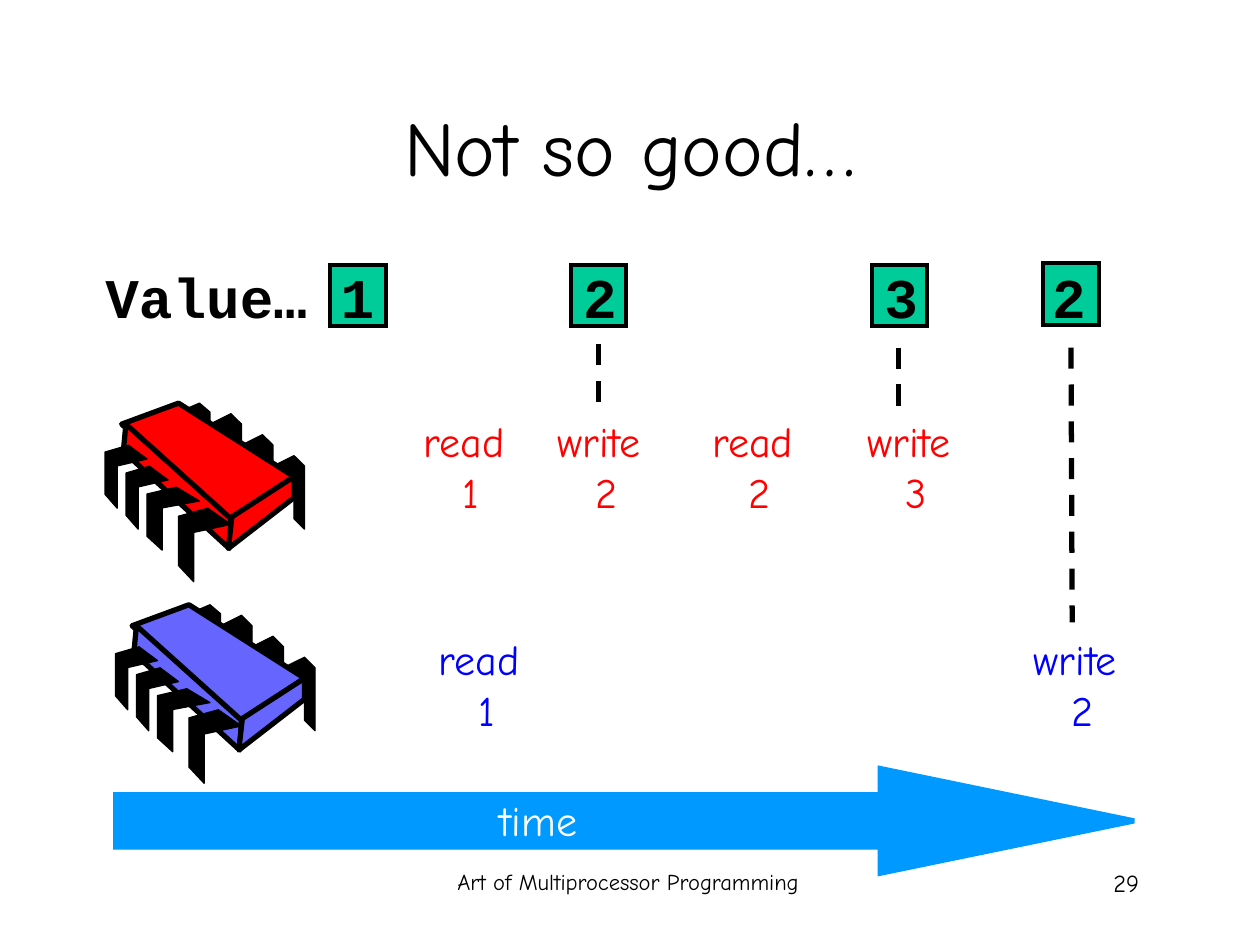
import pptx
import pptx.dml.color
import pptx.enum.dml
import pptx.enum.shapes
import pptx.enum.text
import pptx.oxml.ns
import pptx.util
from dataclasses import dataclass
from lxml import etree

Pt = pptx.util.Pt
Align = pptx.enum.text.PP_ALIGN
Anchor = pptx.enum.text.MSO_ANCHOR
Fit = pptx.enum.text.MSO_AUTO_SIZE
Kind = pptx.enum.shapes.MSO_SHAPE
qn = pptx.oxml.ns.qn


@dataclass(frozen=True)
class Theme:
    ink: str = "000000"
    paper: str = "FFFFFF"
    cell: str = "00CC99"
    time: str = "0099FF"
    red: str = "FF0000"
    blue: str = "0000FF"
    chip: str = "6666FF"
    hand: str = "Comic Neue"
    code: str = "Courier New"
    title: float = 44
    value: float = 32
    label: float = 24
    page: float = 14
    foot: float = 12.9


THEME = Theme()

# Outlines as shares of the leg's own box
BACK = [(0, 1/7), (2/3, 0), (1, 1/7), (1, 1), (2/3, 6/7), (2/3, 2/7), (0, 3/7)]
FRONT = [(.56, 0), (1, .22), (.29, .33), (.29, 1), (0, .78), (0, .11)]

# Leg boxes and face corners, in points from the chip's corner
REAR = [(96, 30, 18, 42), (78, 18, 18, 42), (60, 6, 18, 42), (42, 0, 18, 36)]
FORE = [(42, 60, 30, 42), (24, 48, 30, 36), (12, 36, 24, 36), (0, 24, 24, 36)]
FACES = [
    [(42, 0), (108, 42), (71, 67), (9.5, 12)],
    [(12, 12), (72, 66), (71, 83), (10.5, 27.5)],
    [(108, 42), (108, 54), (70.5, 83), (72.5, 65)],
]


def rgb(code):
    return pptx.dml.color.RGBColor.from_string(code)


def assign(obj, **values):
    for name, value in values.items():
        setattr(obj, name, value)


def paint(shape, fill, line, width, join="a:miter"):
    shape.shadow.inherit = False
    shape.fill.solid()
    shape.fill.fore_color.rgb = rgb(fill)
    shape.line.color.rgb = rgb(line)
    shape.line.width = Pt(width)
    etree.SubElement(shape.element.spPr.find(qn("a:ln")), qn(join))


def write(slide, box, lines, size, color=THEME.ink, align=Align.CENTER,
          face=THEME.hand, bold=False, wrap=False, anchor=Anchor.TOP):
    frame = slide.shapes.add_textbox(*map(Pt, box)).text_frame
    assign(frame, word_wrap=wrap, vertical_anchor=anchor,
           auto_size=Fit.NONE if wrap else Fit.SHAPE_TO_FIT_TEXT)
    for index, line in enumerate(lines):
        para = frame.add_paragraph() if index else frame.paragraphs[0]
        para.alignment = align
        run = para.add_run()
        run.text = line
        assign(run.font, size=Pt(size), name=face, bold=bold)
        run.font.color.rgb = rgb(color)


def trace(slide, points, fill, width):
    """Draw a closed outline with round corners."""
    first, *rest = [(Pt(x), Pt(y)) for x, y in points]
    pen = slide.shapes.build_freeform(*first)
    pen.add_line_segments(rest, close=True)
    paint(pen.convert_to_shape(), fill, THEME.ink, width, "a:round")


def chip(slide, box, fill):
    left, top = box[:2]

    def legs(outline, places):
        for x, y, w, h in places:
            points = [(left + x + w * u, top + y + h * v) for u, v in outline]
            trace(slide, points, THEME.ink, 0.75)

    legs(BACK, REAR)
    for face in FACES:
        trace(slide, [(left + x, top + y) for x, y in face], fill, 3)
    legs(FRONT, FORE)


def cell(slide, box):
    shape = slide.shapes.add_shape(Kind.RECTANGLE, *map(Pt, box))
    paint(shape, THEME.cell, THEME.ink, 2.25)


def digit(slide, box, text):
    write(slide, box, [text], THEME.value, align=Align.RIGHT,
          face=THEME.code, bold=True)


def values(slide, box):
    """Draw the row of register values over the course of time."""
    left, top, _, tall = box
    cell(slide, (left + 147.4, top + 5, 31.7, 35.3))
    for x, y, shift, text in ((284.9, 5, 0, "2"), (457, 5, 0, "3"),
                              (554.9, 4.3, -2, "2")):
        cell(slide, (left + x, top + y, 31.7, 35.3))
        digit(slide, (left + x + shift, top, 33.1, tall), text)
    digit(slide, (left, top, 179.8, tall), "Value… 1")


def steps(slide, box, color, items):
    """Write the reads and writes of one chip."""
    left, top, _, tall = box
    for x, verb, number in items:
        wide = 69.1 if verb == "read" else 70.6
        write(slide, (left + x, top, wide, tall), [verb + " ", number],
              THEME.label, color)


def dash(slide, start, end):
    line = slide.shapes.add_connector(
        pptx.enum.shapes.MSO_CONNECTOR.STRAIGHT, *map(Pt, start + end))
    line.line.color.rgb = rgb(THEME.ink)
    assign(line.line, width=Pt(3),
           dash_style=pptx.enum.dml.MSO_LINE.DASH)
    etree.SubElement(line.element.spPr, qn("a:effectLst"))


def clock(slide, box):
    """Draw the time arrow with its label."""
    left, top, _, _ = box
    arrow = slide.shapes.add_shape(Kind.RIGHT_ARROW, *map(Pt, box))
    arrow.adjustments[0] = 0.5
    arrow.adjustments[1] = 2.425
    paint(arrow, THEME.time, THEME.time, 3)
    write(slide, (left + 200.4, top + 11.5, 70.3, 36), ["time"],
          THEME.label, THEME.paper, Align.RIGHT)


def footer(slide, box):
    left, top, wide, tall = box
    write(slide, (left, top, 228.2, tall),
          ["Art of Multiprocessor Programming"], THEME.foot, wrap=True)
    write(slide, (left + wide - 149.8, top, 149.8, tall), ["29"],
          THEME.page, align=Align.RIGHT, wrap=True)


def main():
    deck = pptx.Presentation()
    assign(deck, slide_width=Pt(720), slide_height=Pt(540))
    slide = deck.slides.add_slide(deck.slide_layouts[6])
    footer(slide, (244.8, 492.5, 413.3, 36))
    clock(slide, (66.2, 439.2, 581.8, 59.8))
    write(slide, (54, 38.2, 612, 90), ["Not so good…"], THEME.title,
          wrap=True, anchor=Anchor.MIDDLE)
    chip(slide, (60, 230.4, 114, 102), THEME.red)
    chip(slide, (66, 345.6, 114, 102), THEME.chip)
    values(slide, (41.3, 146.2, 586.6, 46.1))
    steps(slide, (234.7, 234, 324, 64.8), THEME.red,
          [(0, "read", "1"), (76.3, "write", "2"),
           (164.9, "read", "2"), (253.5, "write", "3")])
    steps(slide, (243.4, 358.6, 410.4, 64.8), THEME.blue,
          [(0, "read", "1"), (339.8, "write", "2")])
    dash(slide, (342, 196.6), (342, 238.3))
    dash(slide, (513.4, 198.7), (513.4, 236.2))
    dash(slide, (612, 198.7), (612.7, 355.7))
    deck.save("out.pptx")


if __name__ == "__main__":
    main()
